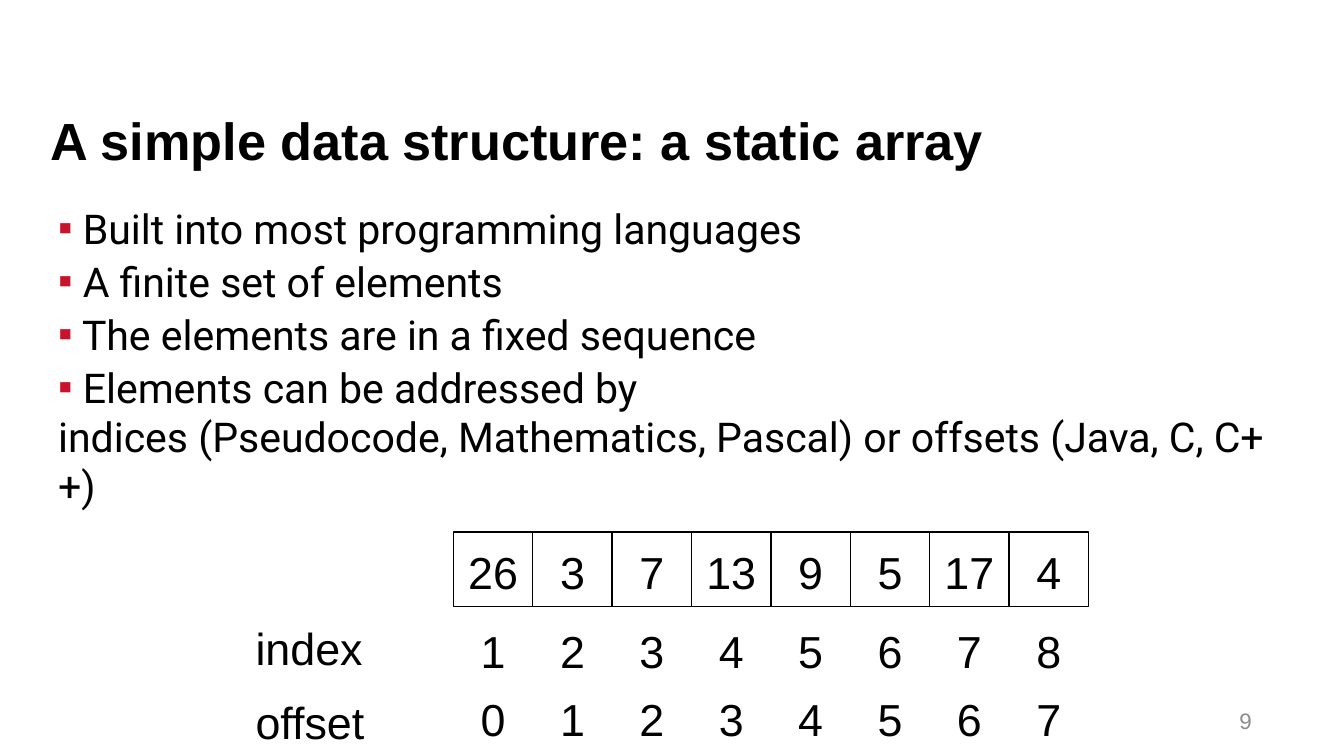
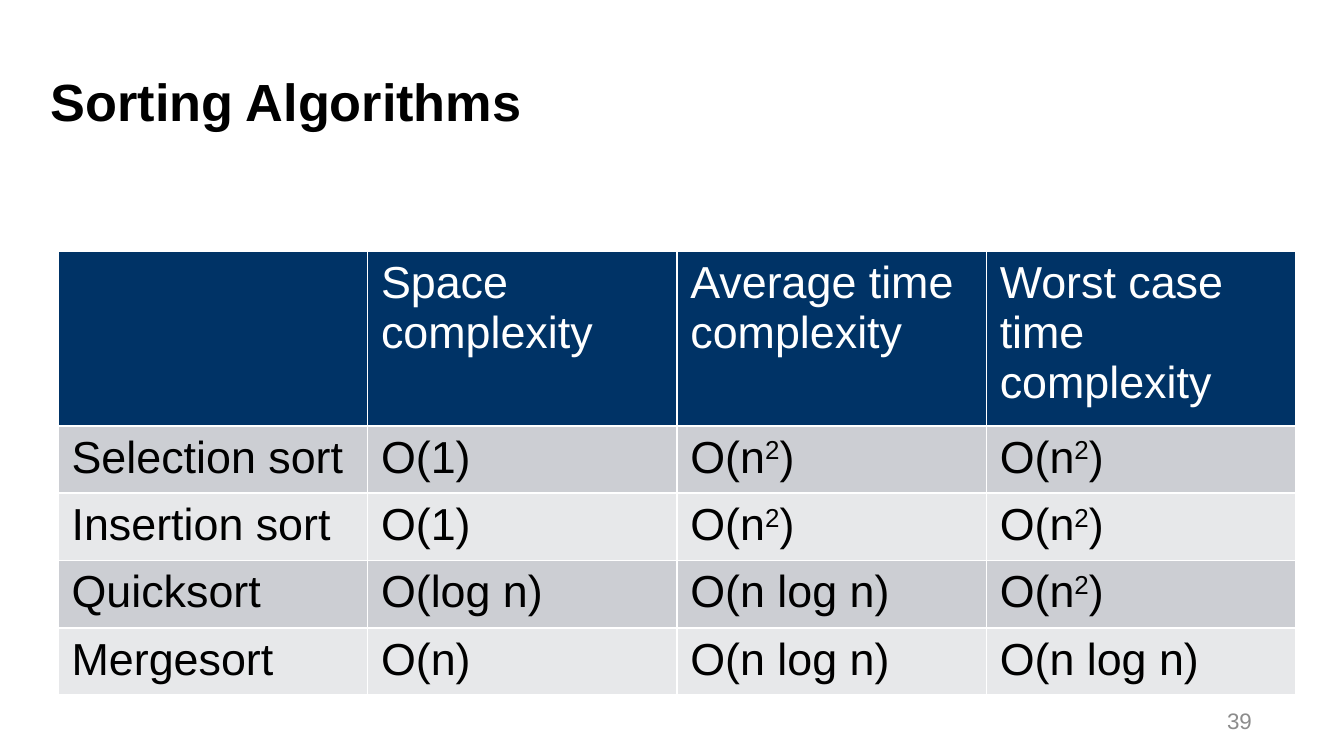
from dataclasses import dataclass

from lxml.etree import SubElement
from pptx import Presentation
from pptx.dml.color import RGBColor
from pptx.enum.text import MSO_ANCHOR, PP_ALIGN
from pptx.oxml import parse_xml
from pptx.oxml.ns import nsdecls, qn
from pptx.util import Cm, Pt


@dataclass(frozen=True)
class Theme:
    ink: str = "000000"
    white: str = "FFFFFF"
    grey: str = "8C8C8C"
    red: str = "C9122B"
    navy: str = "003366"
    bands: tuple = ("CCCED3", "E7E8EA")
    sans: str = "Arial"
    prose: str = "Roboto"
    head: int = 28
    body: int = 22
    item: int = 24
    foot: int = 12


@dataclass(frozen=True)
class Box:
    x: float
    y: float
    w: float
    h: float

    def sub(self, x, y, w, h):
        return Box(self.x + x, self.y + y, w, h)

    def place(self):
        return [Cm(v) for v in (self.x, self.y, self.w, self.h)]


T = Theme()
FLAT = dict(margin_left=0, margin_top=0, margin_right=0, margin_bottom=0)
RIM = dict.fromkeys(FLAT, Cm(0.03))
MID = dict(vertical_anchor=MSO_ANCHOR.MIDDLE)
LOOSE = dict(line_spacing=1.07, space_before=Pt(2.8))
CENTRE = dict(LOOSE, alignment=PP_ALIGN.CENTER)


def apply(part, values):
    for name, value in values.items():
        setattr(part, name, value)


def style(run, size, color=T.ink, face=T.sans, bold=False):
    apply(run.font, dict(size=Pt(size), name=face, bold=bold))
    run.font.color.rgb = RGBColor.from_string(color)


def fill_text(frame, lines, size, form, para=None, **look):
    apply(frame, dict(form, word_wrap=True))
    for i, line in enumerate(lines):
        p = frame.add_paragraph() if i else frame.paragraphs[0]
        p.text = line
        apply(p, para or {})
        for run in p.runs:
            style(run, size, **look)


def text(slide, box, lines, size, form=FLAT, para=None, **look):
    frame = slide.shapes.add_textbox(*box.place()).text_frame
    fill_text(frame, lines, size, form, para, **look)
    return frame


# Title and page number, shared by both slides
def base(deck, title, top, page):
    slide = deck.slides.add_slide(deck.slide_layouts[6])
    text(slide, Box(0.96, top, 23.39, 1.8), [title], T.head, bold=True)
    text(slide, Box(18.19, 13.25, 5.72, 0.76), [page], T.foot, MID,
         dict(alignment=PP_ALIGN.RIGHT), color=T.grey)
    return slide


# Bulleted text
def bullets(slide, box, lines):
    frame = text(slide, box, lines, T.body, para=dict(space_before=Pt(2)),
                 face=T.prose)
    for p in frame.paragraphs:
        props = p._p.get_or_add_pPr()
        color = SubElement(props, qn("a:buClr"))
        SubElement(color, qn("a:srgbClr"), val=T.red)
        SubElement(props, qn("a:buFont"), typeface=T.sans)
        SubElement(props, qn("a:buChar"), char="▪")


# One number of the array, framed or bare
def slot(slide, box, value, framed):
    x, y, w, h = box.place()
    pen = slide.shapes.build_freeform(x, y)
    pen.add_line_segments([(x + w, y), (x + w, y + h), (x, y + h)])
    cell = pen.convert_to_shape()
    cell.shadow.inherit = False
    cell.fill.background()
    if framed:
        cell.line.color.rgb = RGBColor.from_string(T.ink)
        cell.line.width = Pt(0.75)
    else:
        cell.line.fill.background()
    fill_text(cell.text_frame, [str(value)], T.item,
              (RIM if framed else FLAT) | MID, CENTRE)


# Array cells with their index and offset rows
def array(slide, box, items):
    wide, high, left = 1.5, 1.4, 3.74
    count = len(items)
    rows = ((0, items), (1.5, range(1, count + 1)), (2.79, range(count)))
    for y, values in rows:
        for i, value in enumerate(values):
            slot(slide, box.sub(left + i * wide, y, wide, high), value,
                 values is items)
    for y, label in ((1.6, "index"), (3.0, "offset")):
        text(slide, box.sub(0, y, 3.25, 0.94), [label], T.item, para=LOOSE)


def border(cell):
    props = cell._tc.get_or_add_tcPr()
    for i, side in enumerate("LRTB"):
        props.insert(i, parse_xml(
            f'<a:ln{side} {nsdecls("a")} w="{Pt(1)}"><a:solidFill>'
            f'<a:srgbClr val="{T.white}"/></a:solidFill></a:ln{side}>'))


# Table of complexities
def grid(slide, box, rows):
    table = slide.shapes.add_table(
        len(rows), len(rows[0]), *box.place()).table
    apply(table, dict(first_row=False, horz_banding=False))
    for r, row in enumerate(rows):
        for c, words in enumerate(row):
            cell = table.cell(r, c)
            cell.fill.solid()
            cell.fill.fore_color.rgb = RGBColor.from_string(
                T.bands[(r - 1) % 2] if r else T.navy)
            border(cell)
            # Squares become raised runs
            for part in words.replace("²", "|2|").split("|"):
                if part:
                    run = cell.text_frame.paragraphs[0].add_run()
                    run.text = part
                    style(run, T.item, T.ink if r else T.white)
                    if part == "2":
                        run._r.get_or_add_rPr().set("baseline", "30000")


def main():
    deck = Presentation()
    apply(deck, dict(slide_width=Cm(25.4), slide_height=Cm(14.29)))

    # Static array
    slide = base(deck, "A simple data structure: a static array", 2.04, "9")
    bullets(slide, Box(1.1, 3.84, 23.39, 9.14), [
        " Built into most programming languages",
        " A finite set of elements",
        " The elements are in a fixed sequence",
        " Elements can be addressed by \vindices (Pseudocode, Mathematics, "
        "Pascal) or offsets (Java, C, C++)",
    ])
    array(slide, Box(4.83, 10.06, 15.75, 4.2), [26, 3, 7, 13, 9, 5, 17, 4])

    # Sorting algorithms
    slide = base(deck, "Sorting Algorithms", 1.31, "39")
    grid(slide, Box(1.1, 4.75, 23.39, 5.2), [
        ("", "Space complexity", "Average time complexity",
         "Worst case time complexity"),
        ("Selection sort", "O(1)", "O(n²)", "O(n²)"),
        ("Insertion sort", "O(1)", "O(n²)", "O(n²)"),
        ("Quicksort", "O(log n)", "O(n log n)", "O(n²)"),
        ("Mergesort", "O(n)", "O(n log n)", "O(n log n)"),
    ])
    deck.save("out.pptx")


if __name__ == "__main__":
    main()
